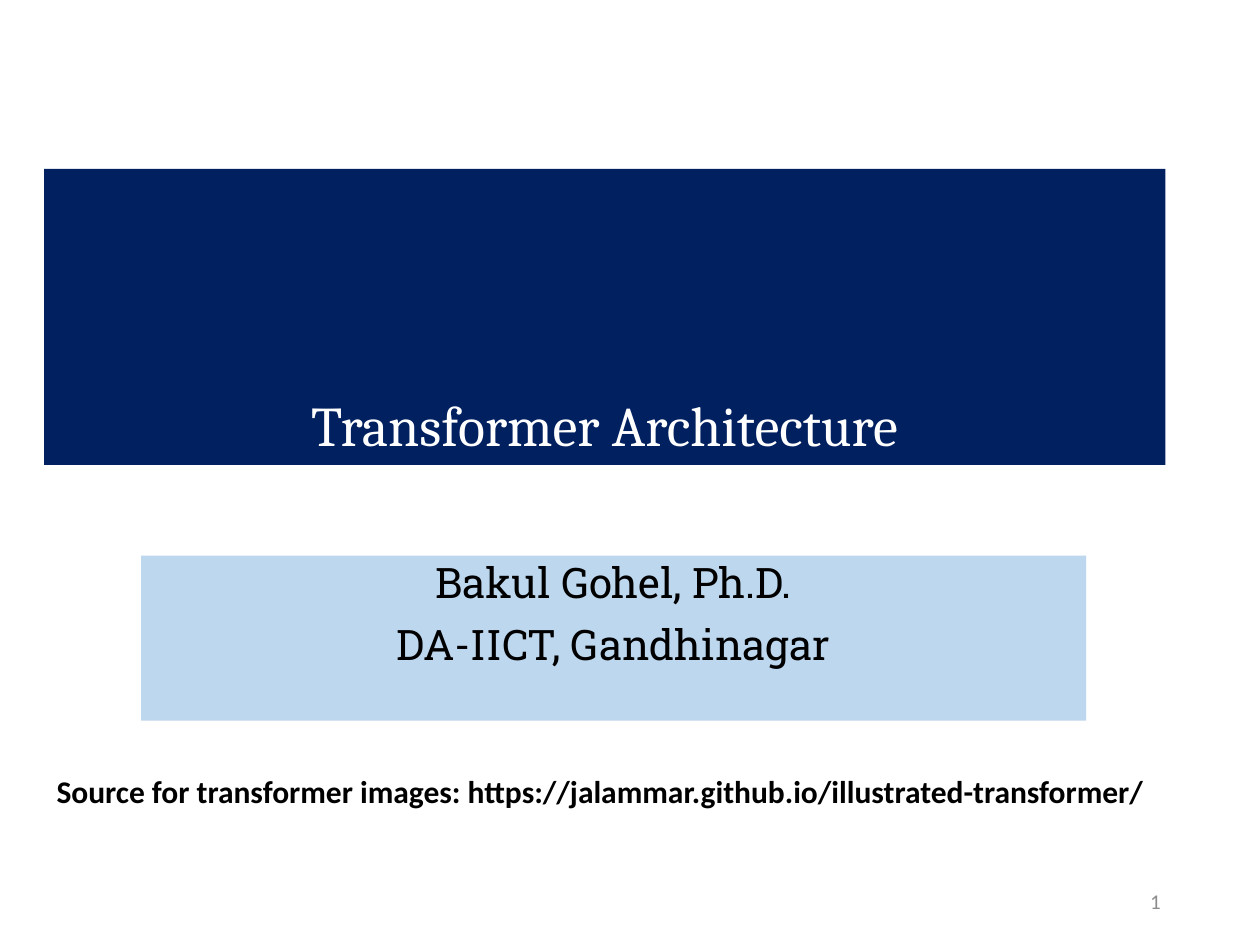
from pptx import Presentation
from pptx.dml.color import RGBColor
from pptx.enum.shapes import MSO_SHAPE
from pptx.enum.text import MSO_ANCHOR, PP_ALIGN
from pptx.util import Inches, Pt

WIDE, HIGH = 10, 7.5
COLORS = {
    "navy": "002060",
    "sky": "BDD7EE",
    "white": "FFFFFF",
    "black": "000000",
    "gray": "8C8C8C",
}


def color(name):
    return RGBColor.from_string(COLORS[name])


def place(left, top, width, height):
    return (
        Inches(left * WIDE),
        Inches(top * HIGH),
        Inches(width * WIDE),
        Inches(height * HIGH),
    )


def add_text(shape, lines, font, size, ink, align, anchor, bold=False, line=1.0, gap=0):
    frame = shape.text_frame
    frame.word_wrap = True
    frame.vertical_anchor = anchor
    for row, text in enumerate(lines):
        para = frame.add_paragraph() if row else frame.paragraphs[0]
        para.alignment = align
        para.line_spacing = line
        para.space_before = Pt(gap if row else 0)
        run = para.add_run()
        run.text = text
        run.font.name = font
        run.font.size = Pt(size)
        run.font.bold = bold
        run.font.color.rgb = color(ink)


def add_panel(slide, area, fill, lines, font, size, ink, anchor, gap=0):
    panel = slide.shapes.add_shape(MSO_SHAPE.RECTANGLE, *place(*area))
    panel.shadow.inherit = False
    panel.fill.solid()
    panel.fill.fore_color.rgb = color(fill)
    panel.line.fill.background()
    add_text(panel, lines, font, size, ink, PP_ALIGN.CENTER, anchor, line=0.9, gap=gap)


def add_label(slide, area, text, size, ink, align, anchor, bold=False):
    label = slide.shapes.add_textbox(*place(*area))
    add_text(label, [text], "Calibri", size, ink, align, anchor, bold)


def main():
    deck = Presentation()
    deck.slide_width, deck.slide_height = Inches(WIDE), Inches(HIGH)
    slide = deck.slides.add_slide(deck.slide_layouts[6])

    add_panel(slide, (0.035, 0.1787, 0.89, 0.3133), "navy",
              ["Transformer Architecture"],
              "Cambria", 32, "white", MSO_ANCHOR.BOTTOM)
    add_panel(slide, (0.112, 0.588, 0.75, 0.1747), "sky",
              ["Bakul Gohel, Ph.D.", "DA-IICT, Gandhinagar"],
              "Roboto Slab", 24, "black", MSO_ANCHOR.TOP, gap=10)
    add_label(slide, (0.706, 0.9267, 0.225, 0.0533), "1",
              12, "gray", PP_ALIGN.RIGHT, MSO_ANCHOR.MIDDLE)
    add_label(slide, (0.035, 0.8107, 0.945, 0.0533),
              "Source for transformer images: https://jalammar.github.io/illustrated-transformer/",
              18, "black", PP_ALIGN.LEFT, MSO_ANCHOR.TOP, bold=True)

    deck.save("out.pptx")


if __name__ == "__main__":
    main()
